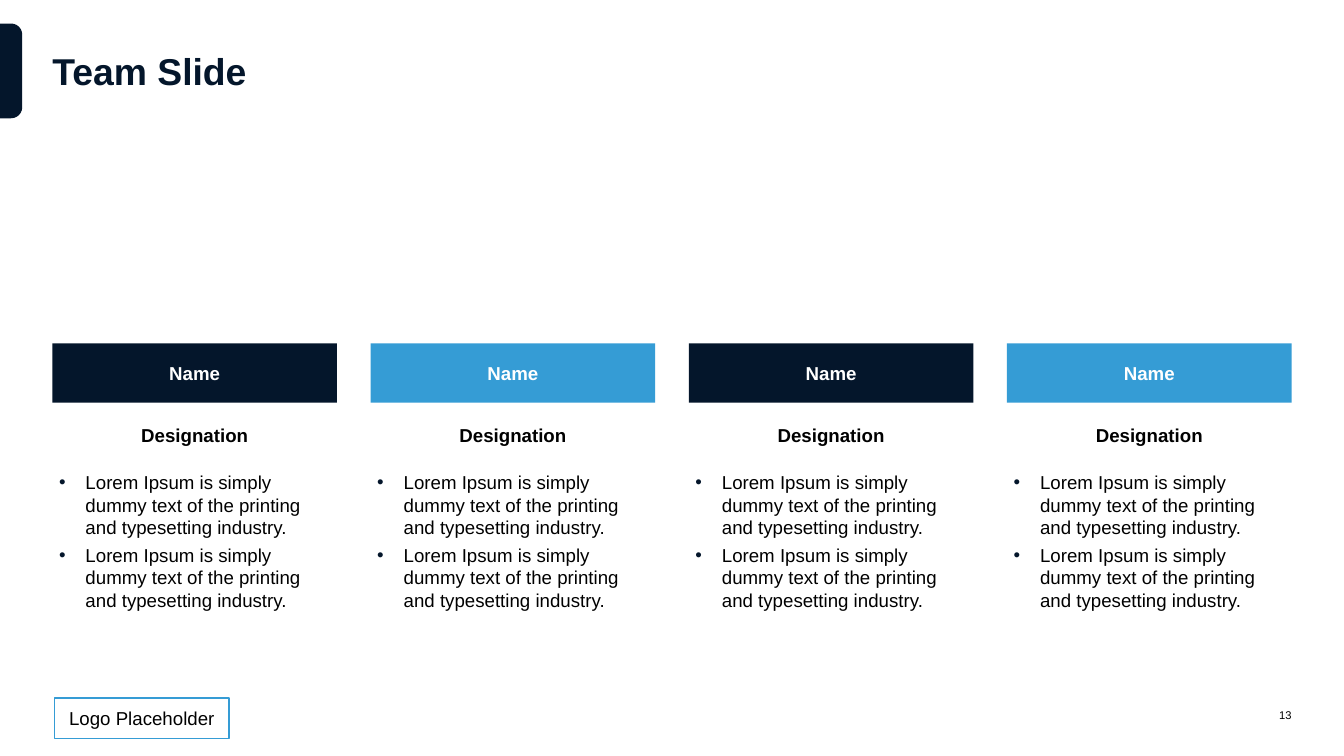
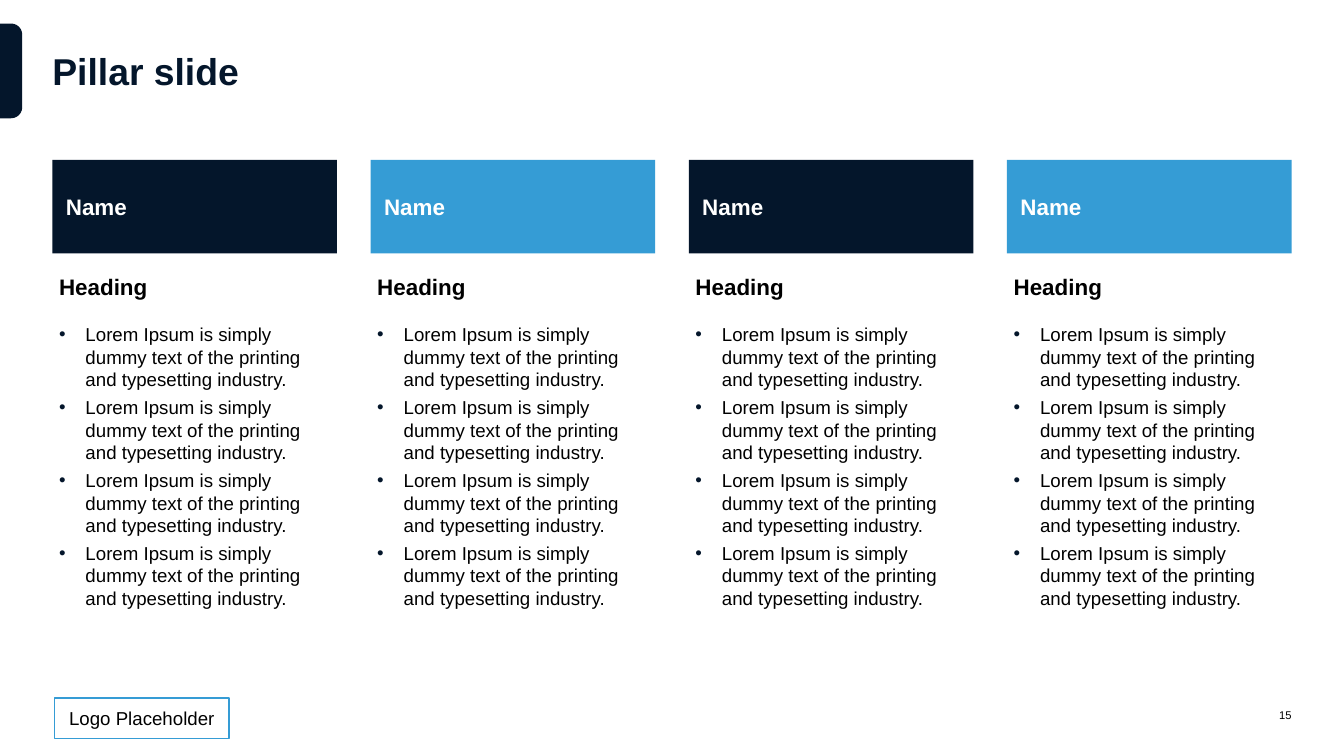
from collections import namedtuple

from lxml import etree
from pptx import Presentation
from pptx.dml.color import RGBColor
from pptx.enum.shapes import MSO_SHAPE
from pptx.enum.text import MSO_ANCHOR, PP_ALIGN
from pptx.oxml.ns import qn
from pptx.util import Pt

NAVY = RGBColor(0x04, 0x16, 0x2B)
BLUE = RGBColor(0x35, 0x9C, 0xD5)
WHITE = RGBColor(0xFF, 0xFF, 0xFF)
BLACK = RGBColor(0x00, 0x00, 0x00)

RECTANGLE = MSO_SHAPE.RECTANGLE
ROUNDED_TOP = MSO_SHAPE.ROUND_2_SAME_RECTANGLE
TOP, MIDDLE = MSO_ANCHOR.TOP, MSO_ANCHOR.MIDDLE
LEFT, CENTER, RIGHT = PP_ALIGN.LEFT, PP_ALIGN.CENTER, PP_ALIGN.RIGHT

Box = namedtuple("Box", "left top width height")
ColumnStyle = namedtuple(
    "ColumnStyle", "name_height name_inset heading_top body_top body_height size align")

FONT = "Arial"
PAGE = Box(0, 0, 1440, 810)
MARGIN = 56.16
CONTENT_WIDTH = PAGE.width - 2 * MARGIN
COLUMN_COUNT = 4
COLUMN_GAP = 36
HEADING_HEIGHT = 53.3
BULLET_INDENT = 28.35
NO_INSETS = (0, 0, 0, 0)
INSETS = (7.2, 3.6, 7.2, 3.6)

SENTENCE = "Lorem Ipsum is simply dummy text of the printing and typesetting industry."
TEAM_STYLE = ColumnStyle(63.4, 7.2, 72, 133.2, 214.6, 20, CENTER)
PILLAR_STYLE = ColumnStyle(100.1, 14.4, 109.4, 171.4, 316.1, 24, LEFT)


def in_points(box):
    return [Pt(length) for length in box]


def add_panel(page, kind, box, fill, line=None):
    panel = page.shapes.add_shape(kind, *in_points(box))
    panel.shadow.inherit = False
    panel.fill.solid()
    panel.fill.fore_color.rgb = fill
    if line is None:
        panel.line.fill.background()
    else:
        panel.line.color.rgb = line
        panel.line.width = Pt(1.5)
    return panel


def set_frame(shape, anchor=MIDDLE, insets=INSETS):
    frame = shape.text_frame
    frame.word_wrap = True
    frame.vertical_anchor = anchor
    (frame.margin_left, frame.margin_top,
     frame.margin_right, frame.margin_bottom) = in_points(insets)
    return frame


def add_span(para, text, size, color, bold=False):
    span = para.add_run()
    span.text = text
    span.font.name = FONT
    span.font.size = Pt(size)
    span.font.bold = bold
    span.font.color.rgb = color


def write_line(shape, text, size, color, bold=False, align=LEFT, insets=INSETS):
    """Fill a shape with one vertically centred line."""
    para = set_frame(shape, insets=insets).paragraphs[0]
    para.alignment = align
    add_span(para, text, size, color, bold)


def add_label(page, box, *text_style, **layout):
    write_line(page.shapes.add_textbox(*in_points(box)), *text_style, **layout)


def make_bullet(para):
    props = para._p.get_or_add_pPr()
    props.set("marL", str(Pt(BULLET_INDENT)))
    props.set("indent", str(-Pt(BULLET_INDENT)))
    color = etree.SubElement(props, qn("a:buClr"))
    etree.SubElement(color, qn("a:srgbClr"), val=str(NAVY))
    etree.SubElement(props, qn("a:buFont"), typeface=FONT)
    etree.SubElement(props, qn("a:buChar"), char="•")


def add_bullets(page, box, sentences):
    frame = set_frame(page.shapes.add_textbox(*in_points(box)), TOP)
    for index, sentence in enumerate(sentences):
        para = frame.add_paragraph() if index else frame.paragraphs[0]
        make_bullet(para)
        if index:
            para.space_before = Pt(3)
        para.space_after = Pt(3)
        add_span(para, sentence, 20, BLACK)


def add_column(page, box, style, color, heading, sentences):
    left, top, width, _ = box
    name = add_panel(page, RECTANGLE, Box(left, top, width, style.name_height), color)
    write_line(name, "Name", style.size, WHITE, True, style.align,
               (style.name_inset, 3.6, 7.2, 3.6))
    add_label(page, Box(left, top + style.heading_top, width, HEADING_HEIGHT),
              heading, style.size, BLACK, True, align=style.align)
    add_bullets(page, Box(left, top + style.body_top, width, style.body_height), sentences)


def add_columns(page, box, style, heading, sentences):
    width = (box.width - COLUMN_GAP * (COLUMN_COUNT - 1)) / COLUMN_COUNT
    for index in range(COLUMN_COUNT):
        left = box.left + index * (width + COLUMN_GAP)
        add_column(page, Box(left, box.top, width, box.height), style,
                   (NAVY, BLUE)[index % 2], heading, sentences)


def add_header(page, box, title):
    tab_length, tab_depth = 101.5, 23.8
    # The tab is turned a quarter about its centre so it lies on the page edge.
    tab = add_panel(page, ROUNDED_TOP,
                    Box((tab_depth - tab_length) / 2,
                        box.top + (tab_length - tab_depth) / 2,
                        tab_length, tab_depth), NAVY)
    tab.adjustments[0] = 0.5
    tab.rotation = 90
    add_label(page, box, title, 40, NAVY, True, insets=NO_INSETS)


def add_footer(page, box, number):
    logo = add_panel(page, RECTANGLE, Box(box.left + 2.2, box.top, 187.2, 43.2), WHITE, BLUE)
    write_line(logo, "Logo Placeholder", 20, BLACK, align=CENTER)
    number_width = 63.4
    add_label(page, Box(box.left + box.width - number_width, box.top, number_width, box.height),
              number, 12, BLACK, align=RIGHT, insets=NO_INSETS)


def add_column_page(deck, title, number, top, style, heading, sentences):
    page = deck.slides.add_slide(deck.slide_layouts[6])
    add_header(page, Box(MARGIN, 25.2, CONTENT_WIDTH, 100.1), title)
    height = style.body_top + style.body_height
    add_columns(page, Box(MARGIN, top, CONTENT_WIDTH, height), style, heading, sentences)
    add_footer(page, Box(MARGIN, 748.1, CONTENT_WIDTH, 36.7), number)


def main():
    deck = Presentation()
    deck.slide_width, deck.slide_height = Pt(PAGE.width), Pt(PAGE.height)
    add_column_page(deck, "Team Slide", "13", 367.9, TEAM_STYLE, "Designation", [SENTENCE] * 2)
    add_column_page(deck, "Pillar slide", "15", 171.4, PILLAR_STYLE, "Heading", [SENTENCE] * 4)
    deck.save("out.pptx")


if __name__ == "__main__":
    main()
